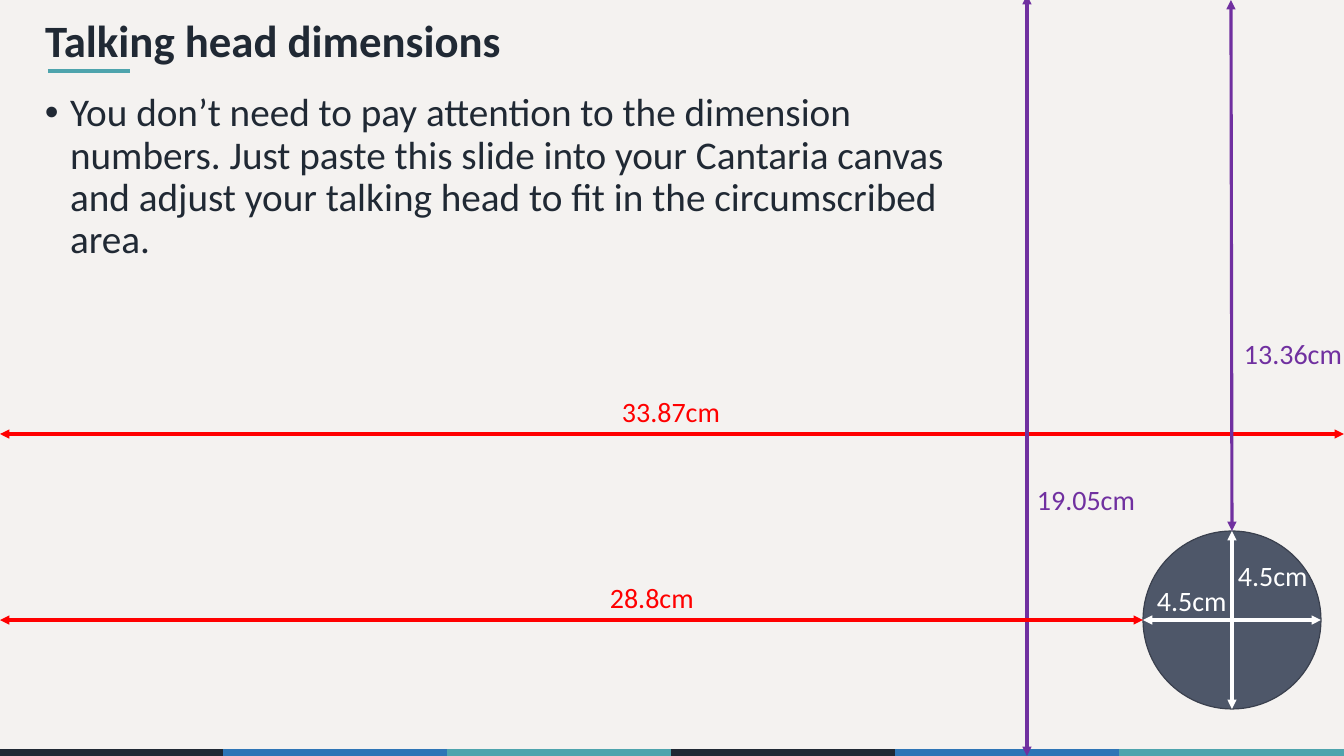
from lxml.etree import SubElement
from pptx import Presentation
from pptx.dml.color import RGBColor
from pptx.enum.shapes import MSO_CONNECTOR, MSO_SHAPE
from pptx.enum.text import MSO_ANCHOR, MSO_AUTO_SIZE, PP_ALIGN
from pptx.oxml.ns import qn
from pptx.util import Pt

PX = 914400 / 100.8
W, H = 1344, 756
NAVY, BLUE, TEAL = "202934", "2E75B6", "4EA4AD"
RED, PURPLE, WHITE = "FF0000", "7030A0", "FFFFFF"

TITLE = "Talking head dimensions"
BODY = ("You don’t need to pay attention to the dimension numbers. Just paste this slide "
        "into your Cantaria canvas and adjust your talking head to fit in the circumscribed area.")

HEAD_X, HEAD_Y, HEAD_D = 1143, 531, 178
MID_X, MID_Y = HEAD_X + HEAD_D // 2, HEAD_Y + HEAD_D // 2
RIGHT, BOTTOM = HEAD_X + HEAD_D, HEAD_Y + HEAD_D

DIMENSIONS = [
    ("33.87cm", RED, (0, 434, W, 434), (612, 390, 119)),
    ("19.05cm", PURPLE, (1027, H, 1027, -5), (1027, 478, 119)),
    ("13.36cm", PURPLE, (MID_X - 1, 0, MID_X, HEAD_Y), (1234, 332, 119)),
    ("4.5cm", WHITE, (HEAD_X, MID_Y, RIGHT, MID_Y), (1228, 554, 91)),
    ("4.5cm", WHITE, (MID_X, BOTTOM, MID_X, HEAD_Y), (1147, 579, 91)),
    ("28.8cm", RED, (0, MID_Y, HEAD_X, MID_Y), (600, 576, 105)),
]


def emu(*lengths):
    return [round(v * PX) for v in lengths]


def rgb(color):
    return RGBColor.from_string(color)


def write(tf, text, size, color, bold=False, wrap=True, spacing=None, before=0,
          anchor=MSO_ANCHOR.TOP):
    tf.auto_size = MSO_AUTO_SIZE.NONE
    tf.word_wrap = wrap
    tf.vertical_anchor = anchor
    p = tf.paragraphs[0]
    p.alignment = PP_ALIGN.LEFT
    p.space_before = Pt(before)
    if spacing:
        p.line_spacing = spacing
    r = p.add_run()
    r.text = text
    r.font.name = "Calibri"
    r.font.size = Pt(size)
    r.font.bold = bold
    r.font.color.rgb = rgb(color)
    return p


def add_line(s, ends, color, width, arrows=False):
    c = s.shapes.add_connector(MSO_CONNECTOR.STRAIGHT, *emu(*ends))
    c.line.color.rgb = rgb(color)
    c.line.width = Pt(width)
    if arrows:
        ln = c.line._get_or_add_ln()
        for tag in ("a:headEnd", "a:tailEnd"):
            SubElement(ln, qn(tag), type="triangle")
    SubElement(c._element.spPr, qn("a:effectLst"))


prs = Presentation()
prs.slide_width, prs.slide_height = emu(W, H)
s = prs.slides.add_slide(prs.slide_layouts[5])
s.background.fill.solid()
s.background.fill.fore_color.rgb = rgb("F4F2F0")

stripe = W // 6
for i, color in enumerate([NAVY, BLUE, TEAL] * 2):
    add_line(s, (i * stripe - 1, 753, (i + 1) * stripe, 753), color, 6)

title = s.shapes.title
title.left, title.top, title.width, title.height = emu(35, 13, 637, 59)
write(title.text_frame, TITLE, 32, NAVY, bold=True, spacing=0.9, anchor=MSO_ANCHOR.MIDDLE)
add_line(s, (48, 71, 130, 71), TEAL, 3)

head = s.shapes.add_shape(MSO_SHAPE.OVAL, *emu(HEAD_X, HEAD_Y, HEAD_D, HEAD_D))
head.shadow.inherit = False
head.fill.solid()
head.fill.fore_color.rgb = rgb("4E5769")
head.line.color.rgb = rgb("3A404E")
head.line.width = Pt(0.85)

for text, color, ends, (x, y, width) in DIMENSIONS:
    add_line(s, ends, color, 2.25, arrows=True)
    label = s.shapes.add_textbox(*emu(x, y, width, 44))
    write(label.text_frame, text, 20, color, wrap=False)

body = s.shapes.add_textbox(*emu(35, 88, 945, 181))
p = write(body.text_frame, BODY, 28, NAVY, spacing=0.9, before=10)
pPr = p._p.get_or_add_pPr()
pPr.set("marL", "228600")
pPr.set("indent", "-228600")
SubElement(pPr, qn("a:buFont"), typeface="Arial")
SubElement(pPr, qn("a:buChar"), char="•")

prs.save("out.pptx")
